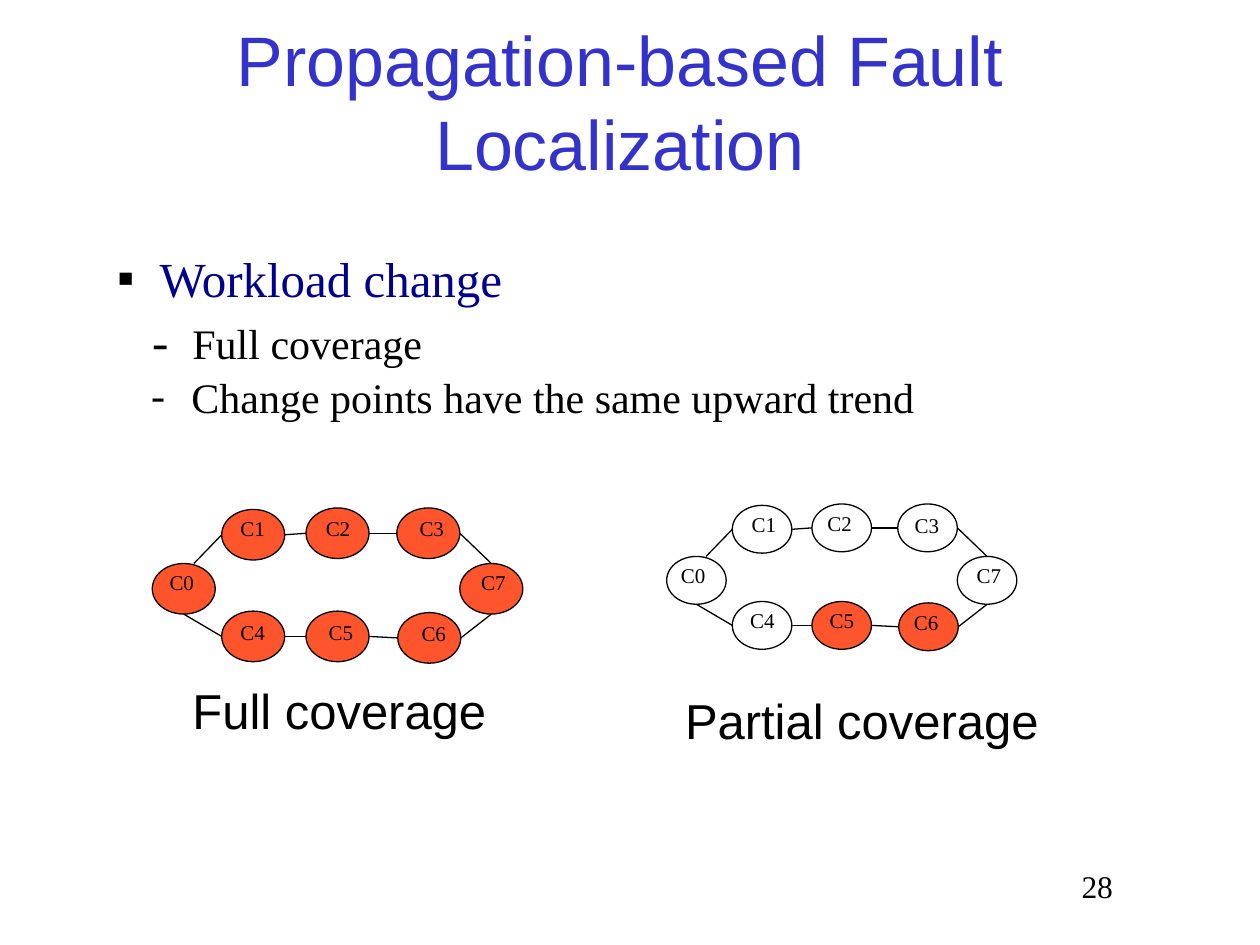
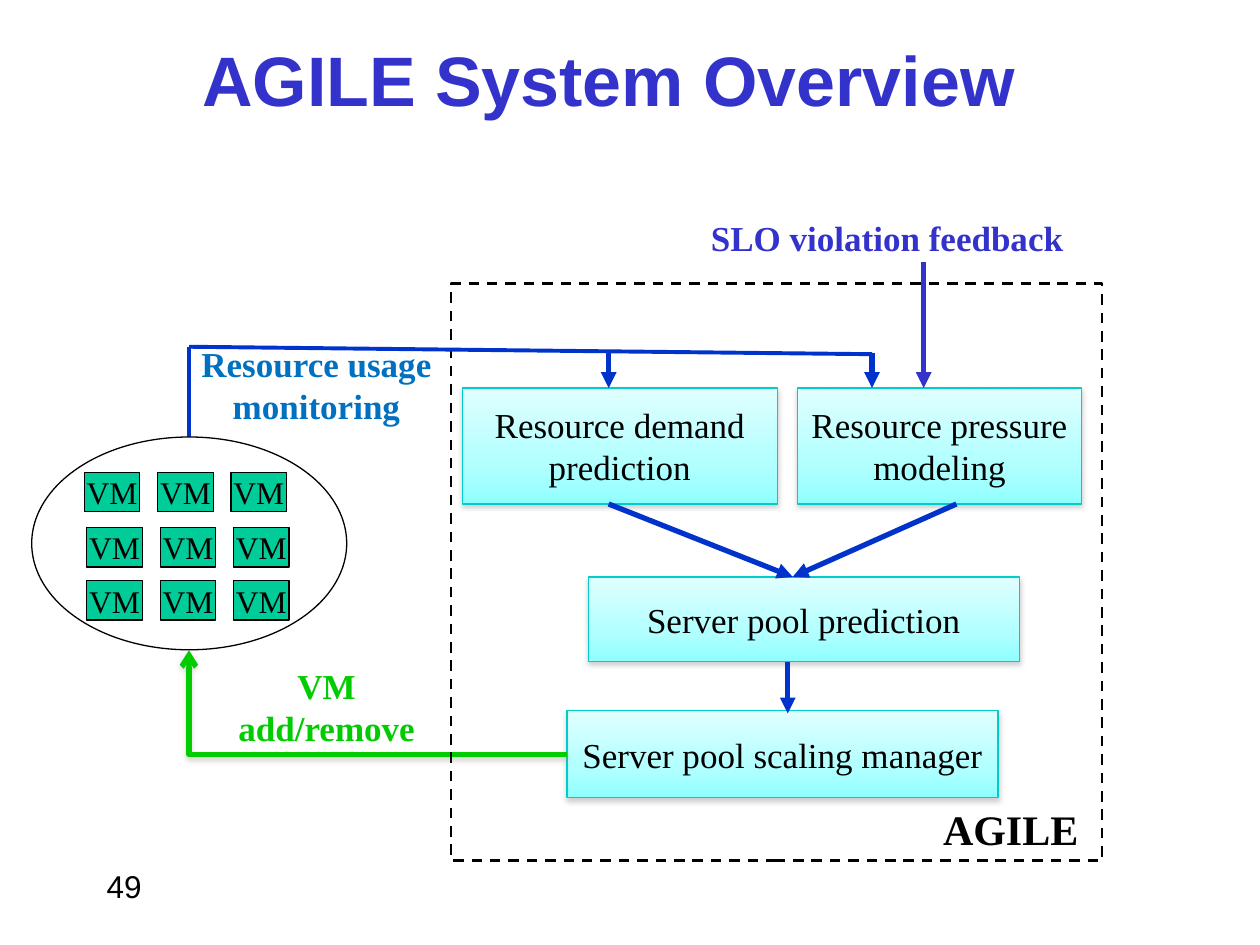
from copy import deepcopy
from dataclasses import dataclass

from lxml import etree
from pptx import Presentation
from pptx.dml.color import RGBColor
from pptx.enum.dml import MSO_LINE
from pptx.enum.shapes import MSO_CONNECTOR, MSO_SHAPE
from pptx.enum.text import MSO_ANCHOR, PP_ALIGN
from pptx.oxml.ns import qn
from pptx.util import Cm, Pt

LEFT, CENTER = PP_ALIGN.LEFT, PP_ALIGN.CENTER
TOP, MIDDLE = MSO_ANCHOR.TOP, MSO_ANCHOR.MIDDLE
RECT, OVAL = MSO_SHAPE.RECTANGLE, MSO_SHAPE.OVAL
STRAIGHT, DASH = MSO_CONNECTOR.STRAIGHT, MSO_LINE.DASH
rgb = RGBColor.from_string


@dataclass(frozen=True)
class Theme:
    # Fonts
    sans: str = "Arial"
    serif: str = "Times New Roman"
    # Colours
    title: RGBColor = rgb("3333CC")
    black: RGBColor = rgb("000000")
    white: RGBColor = rgb("FFFFFF")
    heading: RGBColor = rgb("000090")
    faulty: RGBColor = rgb("FF552D")
    flow: RGBColor = rgb("0033CC")
    usage: RGBColor = rgb("0070C0")
    scaling: RGBColor = rgb("00CC00")
    vm: RGBColor = rgb("00CC99")
    box_edge: RGBColor = rgb("00CCCC")
    box_stops: tuple = ((0, rgb("E0FFFF")), (0.65, rgb("B2FFFF")), (1, rgb("90FFFF")))
    shadow: str = "808080"
    # Type sizes
    title_size: int = 40
    large: int = 28
    medium: int = 24
    label: int = 20
    small: int = 18
    node: int = 12
    # Line widths
    thin: float = 0.75
    dashed: float = 1.5
    bus: float = 2.25
    arrow: float = 3


class Deck:
    def __init__(self, theme):
        self.t = theme
        self.prs = Presentation()
        self.prs.slide_width, self.prs.slide_height = Cm(25.4), Cm(19.05)
        self.shapes = None

    def new_slide(self):
        self.shapes = self.prs.slides.add_slide(self.prs.slide_layouts[6]).shapes

    def run(self, p, text, size, font=None, color=None, bold=False):
        r = p.add_run()
        r.text = text
        r.font.size, r.font.bold = Pt(size), bold
        r.font.name = font or self.t.serif
        r.font.color.rgb = color or self.t.black

    def text(self, x, y, w, h, lines, size, align=CENTER, anchor=TOP, **style):
        tf = self.shapes.add_textbox(Cm(x), Cm(y), Cm(w), Cm(h)).text_frame
        tf.word_wrap, tf.vertical_anchor = True, anchor
        for i, line in enumerate(lines.split("\n")):
            p = tf.add_paragraph() if i else tf.paragraphs[0]
            p.alignment = align
            self.run(p, line, size, **style)

    def title(self, x, y, text, bold=False):
        self.text(x, y, 21.59, 3.18, text, self.t.title_size, anchor=MIDDLE,
                  font=self.t.sans, color=self.t.title, bold=bold)

    def page_number(self, x, number, align, font):
        self.text(x, 17.35, 5.28, 1.27, number, self.t.small, align, font=font)

    def bullets(self, x, y, w, h, items):
        """Each item: text, size, colour, bullet, bullet %, margin, hang, space before."""
        tf = self.shapes.add_textbox(Cm(x), Cm(y), Cm(w), Cm(h)).text_frame
        tf.word_wrap = True
        for i, (text, size, color, char, pct, margin, hang, before) in enumerate(items):
            p = tf.add_paragraph() if i else tf.paragraphs[0]
            pPr = p._p.get_or_add_pPr()
            pPr.set("marL", str(Cm(margin)))
            pPr.set("indent", str(-Cm(hang)))
            bu_color = etree.SubElement(pPr, qn("a:buClr"))
            etree.SubElement(bu_color, qn("a:srgbClr"), val=str(self.t.black))
            etree.SubElement(pPr, qn("a:buSzPct"), val=str(pct * 1000))
            etree.SubElement(pPr, qn("a:buFont"), typeface=self.t.serif)
            etree.SubElement(pPr, qn("a:buChar"), char=char)
            if i:
                p.space_before = Pt(before)
            self.run(p, text, size, color=color)

    def shape(self, kind, x, y, w, h, fill=None, edge=None, width=None):
        sp = self.shapes.add_shape(kind, Cm(x), Cm(y), Cm(w), Cm(h))
        sp.shadow.inherit = False
        if fill is None:
            sp.fill.background()
        else:
            sp.fill.solid()
            sp.fill.fore_color.rgb = fill
        sp.line.color.rgb = edge or self.t.black
        sp.line.width = Pt(width or self.t.thin)
        return sp

    def caption(self, sp, text, size, wrap=True):
        tf = sp.text_frame
        tf.word_wrap, tf.vertical_anchor = wrap, MIDDLE
        p = tf.paragraphs[0]
        p.alignment = CENTER
        self.run(p, text, size)

    def add_shadow(self, sp, alpha):
        sp.shadow.inherit = False
        effects = sp._element.spPr.find(qn("a:effectLst"))
        shadow = etree.SubElement(effects, qn("a:outerShdw"), blurRad=str(Pt(3.1)),
                                  dist=str(Pt(1.6)), dir="5400000", rotWithShape="0")
        color = etree.SubElement(shadow, qn("a:srgbClr"), val=self.t.shadow)
        etree.SubElement(color, qn("a:alpha"), val=str(alpha * 1000))

    def module(self, x, y, w, h, text):
        sp = self.shape(RECT, x, y, w, h, edge=self.t.box_edge)
        sp.fill.gradient()
        sp.fill.gradient_angle = 270
        stops = sp._element.spPr.find(qn("a:gradFill")).find(qn("a:gsLst"))
        stops.insert(1, deepcopy(stops[0]))
        for stop, (position, color) in zip(sp.fill.gradient_stops, self.t.box_stops):
            stop.position, stop.color.rgb = position, color
        self.add_shadow(sp, 38)
        self.caption(sp, text, self.t.label)

    def stroke(self, sp, color, width, tip=None):
        sp.line.color.rgb, sp.line.width = color, Pt(width)
        if tip:
            etree.SubElement(sp.line._get_or_add_ln(), qn("a:tailEnd"), type=tip)

    def line(self, start, end, color=None, width=None, tip=None):
        cxn = self.shapes.add_connector(STRAIGHT, *map(Cm, start + end))
        self.stroke(cxn, color or self.t.black, width or self.t.thin, tip)
        etree.SubElement(cxn._element.spPr, qn("a:effectLst"))

    def bent_arrow(self, points, color):
        start, *rest = [(Cm(x), Cm(y)) for x, y in points]
        builder = self.shapes.build_freeform(*start)
        builder.add_line_segments(rest, close=False)
        sp = builder.convert_to_shape()
        sp.fill.background()
        self.stroke(sp, color, self.t.arrow, "arrow")
        self.add_shadow(sp, 35)

    def component_graph(self, x0, y0, scale, faulty, label_w, label_shifts):
        w, h = NODE_W * scale, NODE_H * scale
        nodes = [(x0 + dx * scale, y0 + dy * scale) for dx, dy in NODE_OFFSETS]
        for i, (x, y) in enumerate(nodes):
            self.shape(OVAL, x, y, w, h, self.t.faulty if i in faulty else None)
        for a, side_a, b, side_b in EDGES:
            ends = [(nodes[n][0] + w * SIDES[side][0], nodes[n][1] + h * SIDES[side][1])
                    for n, side in ((a, side_a), (b, side_b))]
            self.line(*ends)
        for i, ((x, y), (dx, dy)) in enumerate(zip(nodes, label_shifts)):
            self.text(x + dx, y + dy, label_w, 0.76, f"C{i}", self.t.node)


# Component graph: node offsets for C0 to C7, and edges between node sides
NODE_W, NODE_H = 1.27, 1.02
NODE_OFFSETS = [(0, 1.12), (1.4, 0.03), (3.1, 0), (4.93, 0),
                (1.4, 2.08), (3.1, 2.08), (4.95, 2.11), (6.2, 1.12)]
SIDES = {"top": (0.5, 0), "upper": (0.66, 0), "left": (0, 0.5),
         "bottom": (0.5, 1), "right": (1, 0.5)}
EDGES = [(0, "upper", 1, "left"), (0, "bottom", 4, "left"),
         (1, "right", 2, "left"), (2, "right", 3, "left"), (3, "right", 7, "top"),
         (4, "right", 5, "left"), (5, "right", 6, "left"), (6, "right", 7, "bottom")]


def fault_localization(deck):
    t = deck.t
    deck.new_slide()
    deck.title(1.7, 0.43, "Propagation-based Fault Localization")
    deck.bullets(2.11, 4.88, 21.79, 3.68, [
        ("Workload change", t.large, t.heading, "▪", 100, 0.86, 0.86, 0),
        ("Full coverage", t.medium, t.black, "-", 117, 1.52, 0.81, 6),
        ("Change points have the same upward trend", t.medium, t.black,
         "-", 100, 1.5, 0.81, 2)])

    # Coverage graphs
    deck.component_graph(3.07, 10.24, 1, range(8), 1.35, [
        (-0.08, 0), (-0.05, 0), (-0.03, 0.03), (0.03, 0.03),
        (-0.05, 0.05), (0.03, 0.05), (0.05, 0.03), (0, 0)])
    deck.component_graph(13.44, 10.16, 0.945, (5, 6), 1.27, [
        (-0.1, 0), (0, 0), (-0.08, 0), (-0.05, 0.05),
        (-0.03, 0), (-0.03, 0), (-0.08, 0), (0, 0)])
    for x, y, w, name in ((3.63, 13.59, 8.69, "Full"), (13.56, 13.79, 8.26, "Partial")):
        deck.text(x, y, w, 1.8, f"{name} coverage", t.large, LEFT, font=t.sans)
    deck.page_number(19.48, "28", CENTER, t.serif)


def system_overview(deck):
    t = deck.t
    deck.new_slide()
    deck.title(1.47, 0, "AGILE System Overview", bold=True)

    # Modules
    deck.module(16.08, 7.82, 5.72, 2.34, "Resource pressure modeling")
    deck.module(11.43, 14.33, 8.69, 1.75, "Server pool scaling manager")
    deck.module(9.32, 7.82, 6.35, 2.34, "Resource demand prediction")
    deck.module(11.86, 11.63, 8.69, 1.7, "Server pool prediction")

    # Scaling action back to the virtual machines
    deck.bent_arrow([(11.43, 15.21), (3.81, 15.21), (3.81, 13.11)], t.scaling)

    # Labels
    for x, y, w, h, text, color in (
            (3.23, 6.78, 6.3, 1.96, "Resource usage monitoring", t.usage),
            (3.18, 13.28, 6.81, 1.96, "VM\nadd/remove", t.scaling),
            (13.34, 4.24, 9.09, 1.09, "SLO violation feedback", t.title)):
        deck.text(x, y, w, h, text, t.label, color=color, bold=True)

    # System boundary
    frame = deck.shape(RECT, 9.09, 5.72, 13.13, 11.63, width=t.dashed)
    frame.line.dash_style = DASH
    deck.text(18.52, 16.08, 3.71, 1.27, "AGILE", t.medium, bold=True)

    # Monitoring bus
    bus_start = (3.81, 6.99)
    for end in ((3.81, 8.81), (17.58, 7.14)):
        deck.line(bus_start, end, t.flow, t.bus)

    # Data flow arrows
    pool_top = (15.98, 11.63)
    for start, end, color in (
            ((12.27, 7.11), (12.27, 7.82), t.flow),
            ((17.58, 7.11), (17.58, 7.82), t.flow),
            ((18.62, 5.28), (18.62, 7.82), t.title),
            ((19.28, 10.16), pool_top, t.flow),
            ((12.27, 10.16), pool_top, t.flow),
            ((15.88, 13.34), (15.88, 14.38), t.flow)):
        deck.line(start, end, color, t.arrow, "triangle")

    # Virtual machine pool
    deck.shape(OVAL, 0.64, 8.81, 6.35, 4.29, t.white)
    for x, y in ((1.7, 9.53), (1.75, 10.64), (1.75, 11.71)):
        for col in range(3):
            vm = deck.shape(RECT, x + col * 1.48, y, 1.12, 0.79, t.vm)
            deck.caption(vm, "VM", t.small, wrap=False)
    deck.page_number(1.9, "49", LEFT, t.sans)


def main():
    deck = Deck(Theme())
    fault_localization(deck)
    system_overview(deck)
    deck.prs.save("out.pptx")


if __name__ == "__main__":
    main()
